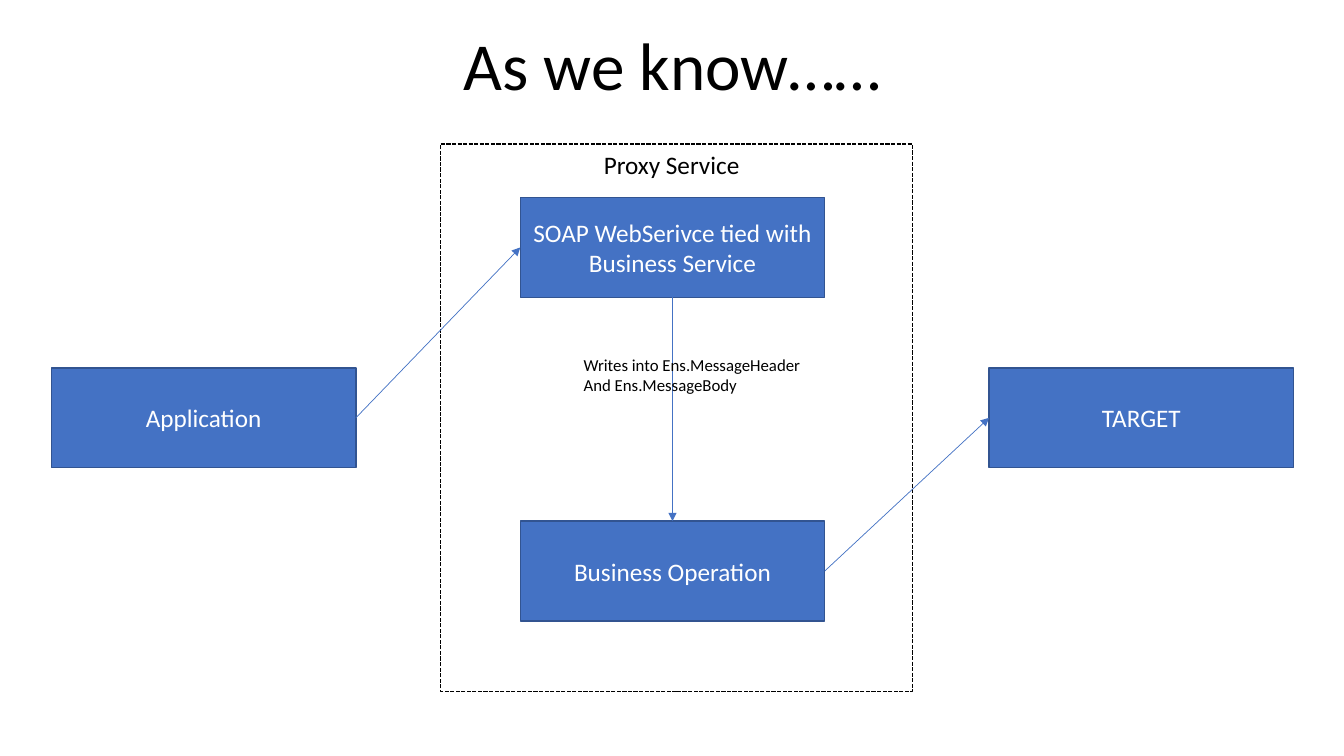
import pptx
import pptx.util
import pptx.dml.color
import pptx.enum.dml
import pptx.enum.shapes
import pptx.enum.text
import pptx.oxml

PX = 9144
FONT = "Calibri"
BLUE = pptx.dml.color.RGBColor(0x44, 0x72, 0xC4)
NAVY = pptx.dml.color.RGBColor(0x32, 0x54, 0x91)
BLACK = pptx.dml.color.RGBColor(0, 0, 0)
WHITE = pptx.dml.color.RGBColor(255, 255, 255)
ALIGN = pptx.enum.text.PP_ALIGN
ANCHOR = pptx.enum.text.MSO_ANCHOR
TOP, LEFT, BOTTOM, RIGHT = range(4)
BOX_W, BOX_H = 302, 99


def emu(*lengths):
    """Turn px lengths into EMU."""
    return [pptx.util.Emu(n * PX) for n in lengths]


def write(sp, text, size=18, color=BLACK, align=ALIGN.LEFT, anchor=ANCHOR.TOP,
          wrap=True, spacing=1.0):
    """Fill a shape with text, one paragraph a line."""
    tf = sp.text_frame
    tf.word_wrap = wrap
    tf.vertical_anchor = anchor
    tf.text = text
    for p in tf.paragraphs:
        p.alignment = align
        p.line_spacing = spacing
        for r in p.runs:
            r.font.name = FONT
            r.font.size = pptx.util.Pt(size)
            r.font.color.rgb = color


def add_label(s, x, y, w, h, text, **fmt):
    """Add a text box."""
    write(s.shapes.add_textbox(*emu(x, y, w, h)), text, **fmt)


def add_rect(s, x, y, w, h, fill, line):
    """Add a plain rectangle with a thin outline."""
    sp = s.shapes.add_shape(pptx.enum.shapes.MSO_SHAPE.RECTANGLE, *emu(x, y, w, h))
    sp.shadow.inherit = False
    sp.fill.solid()
    sp.fill.fore_color.rgb = fill
    sp.line.color.rgb = line
    sp.line.width = pptx.util.Pt(1)
    return sp


def add_node(s, x, y, text):
    """Add a blue box with a centred caption."""
    sp = add_rect(s, x, y, BOX_W, BOX_H, BLUE, NAVY)
    write(sp, text, color=WHITE, align=ALIGN.CENTER, anchor=ANCHOR.MIDDLE)
    return sp


def add_arrow(s, start, start_side, end, end_side):
    """Join two boxes with an arrow."""
    cx = s.shapes.add_connector(pptx.enum.shapes.MSO_CONNECTOR.STRAIGHT, 0, 0, 0, 0)
    cx.begin_connect(start, start_side)
    cx.end_connect(end, end_side)
    cx.line.color.rgb = BLUE
    cx.line.width = pptx.util.Pt(0.5)
    ns = pptx.oxml.ns.nsdecls("a")
    cx.line._get_or_add_ln().append(pptx.oxml.parse_xml(f'<a:tailEnd {ns} type="triangle"/>'))
    cx._element.spPr.append(pptx.oxml.parse_xml(f"<a:effectLst {ns}/>"))


def add_proxy(s, x, y, w, h):
    """Draw the dashed proxy region and return its service and operation boxes."""
    frame = add_rect(s, x, y, w, h, WHITE, BLACK)
    frame.line.dash_style = pptx.enum.dml.MSO_LINE.SQUARE_DOT
    add_label(s, x + 152, y, 156, 40, "Proxy Service", wrap=False)
    service = add_node(s, x + 79, y + 53, "SOAP WebSerivce tied with Business Service")
    operation = add_node(s, x + 79, y + 374, "Business Operation")
    return service, operation


def add_flow(s, x, y, w, h):
    """Draw the message flow from application to target through the proxy."""
    side_y = y + 222
    application = add_node(s, x, side_y, "Application")
    target = add_node(s, x + w - BOX_W, side_y, "TARGET")
    service, operation = add_proxy(s, x + 386, y, 468, h)
    add_arrow(s, application, RIGHT, service, LEFT)
    add_arrow(s, service, BOTTOM, operation, TOP)
    add_arrow(s, operation, RIGHT, target, LEFT)
    add_label(s, x + 518, y + 204, 237, 50,
              "Writes into Ens.MessageHeader\nAnd Ens.MessageBody", size=12, wrap=False)


def main():
    """Build the slide and save it."""
    prs = pptx.Presentation()
    prs.slide_width, prs.slide_height = emu(1333, 750)
    s = prs.slides.add_slide(prs.slide_layouts[6])
    add_label(s, 167, 0, 1000, 109, "As we know……", size=48, align=ALIGN.CENTER,
              anchor=ANCHOR.BOTTOM, spacing=0.9)
    add_flow(s, 51, 143, 1232, 543)
    prs.save("out.pptx")


if __name__ == "__main__":
    main()
